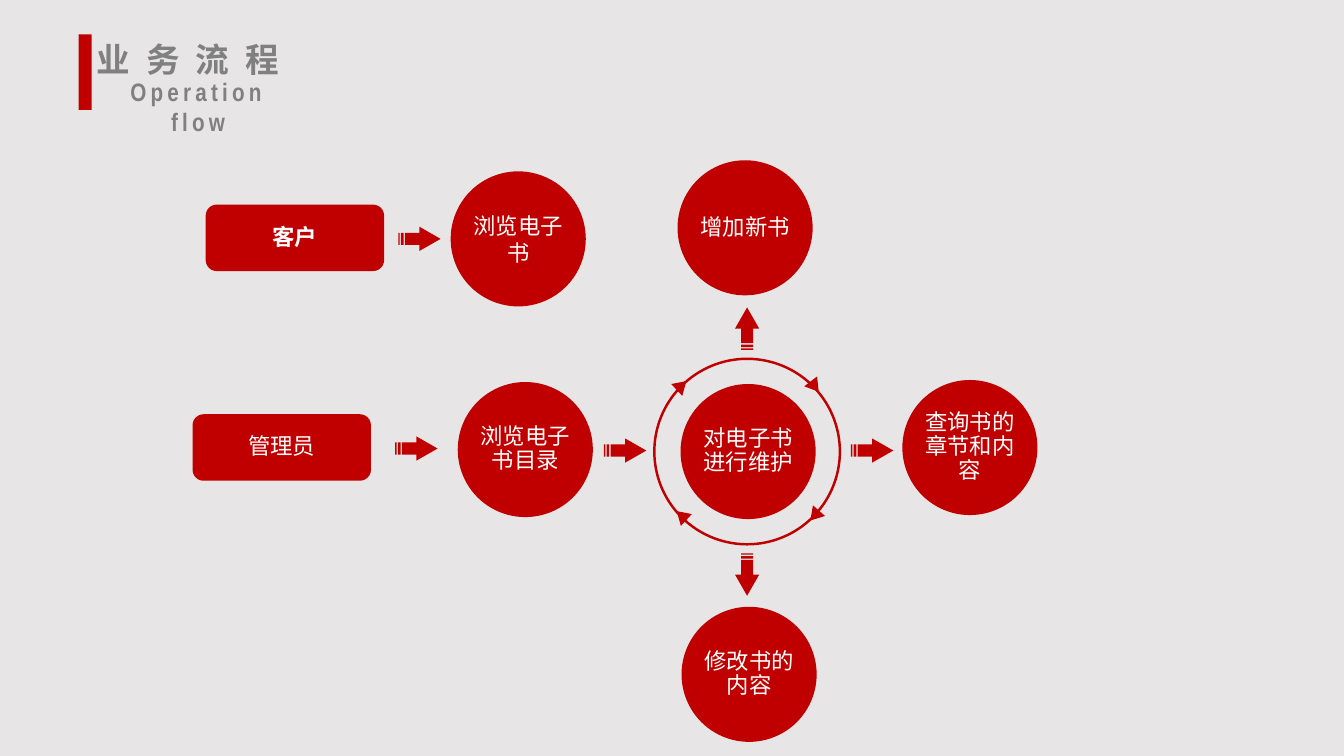
from pptx import Presentation
from pptx.dml.color import RGBColor
from pptx.enum.shapes import MSO_SHAPE as Preset
from pptx.enum.text import MSO_ANCHOR as Anchor, MSO_AUTO_SIZE as AutoSize, PP_ALIGN as Align
from pptx.oxml.ns import qn
from pptx.util import Inches, Pt
from lxml.etree import SubElement

RED, GREY, WHITE, BACKDROP = "C00000", "808080", "FFFFFF", "E7E5E6"
CJK, LATIN = "Noto Sans CJK SC", "Arial Narrow"
DISC = 1.34
STEP_WIDTH, STEP_HEIGHT = 1.77, 0.66
ARROW_LENGTH, ARROW_HEIGHT = 0.42, 0.24


def colour(hex_code):
    return RGBColor.from_string(hex_code)


def paint(shape, hex_code):
    shape.shadow.inherit = False
    shape.fill.solid()
    shape.fill.fore_color.rgb = colour(hex_code)
    shape.line.fill.background()


def write(shape, wording, size, face, hex_code, align, bold=False, tracking=0):
    frame = shape.text_frame
    frame.text = wording
    frame.word_wrap = True
    paragraph = frame.paragraphs[0]
    paragraph.alignment = align
    font = paragraph.runs[0].font
    font.size, font.name, font.bold = Pt(size), face, bold
    font.color.rgb = colour(hex_code)
    properties = paragraph.runs[0].font._element
    SubElement(properties, qn("a:ea")).set("typeface", face)
    if tracking:
        properties.set("spc", str(tracking * 100))
    return paragraph


def add_preset(slide, preset, left, top, width, height, rotation=0):
    shape = slide.shapes.add_shape(
        preset, Inches(left), Inches(top), Inches(width), Inches(height))
    shape.rotation = rotation
    paint(shape, RED)
    return shape


def add_label(shape, wording, inset, bold=False, spacing=0.9):
    frame = shape.text_frame
    frame.margin_left = frame.margin_right = Inches(inset)
    frame.margin_top = frame.margin_bottom = Inches(inset)
    frame.vertical_anchor = Anchor.MIDDLE
    paragraph = write(shape, wording, 16, CJK, WHITE, Align.CENTER, bold)
    paragraph.line_spacing = spacing


def add_disc(slide, wording, left, top, spacing=0.9):
    disc = add_preset(slide, Preset.OVAL, left, top, DISC, DISC)
    add_label(disc, wording, 0.02, spacing=spacing)


def add_role(slide, wording, left, top, bold=False):
    role = add_preset(slide, Preset.ROUNDED_RECTANGLE, left, top, STEP_WIDTH, STEP_HEIGHT)
    add_label(role, wording, 0.22, bold)


def add_striped_arrow(slide, left, top, rotation=0):
    def bar(start, end):
        return [(start, 0.25), (end, 0.25), (end, 0.75), (start, 0.75)]

    head = [(0.5, 0.25), (0.5, 0), (1, 0.5), (0.5, 1), (0.5, 0.75)]
    body = [(5 / 32, 0.25), *head, (5 / 32, 0.75)]
    outlines = [
        [(Inches(left + x * ARROW_LENGTH), Inches(top + y * ARROW_HEIGHT)) for x, y in part]
        for part in (bar(0, 1 / 32), bar(1 / 16, 1 / 8), body)]
    builder = slide.shapes.build_freeform(*outlines[0][0])
    builder.add_line_segments(outlines[0][1:])
    for outline in outlines[1:]:
        builder.move_to(*outline[0])
        builder.add_line_segments(outline[1:])
    arrow = builder.convert_to_shape()
    arrow.rotation = rotation
    paint(arrow, RED)


def add_cycle(slide):
    ring = add_preset(slide, Preset.OVAL, 6.49, 3.56, 1.84, 1.84)
    ring.fill.background()
    ring.line.color.rgb = colour(RED)
    ring.line.width = Pt(1.75)
    for left, top, rotation in (
            (6.68, 3.76, 47.2), (8, 3.77, 142.3), (8, 5.05, 221.4), (6.68, 5.05, 312.7)):
        add_preset(slide, Preset.ISOSCELES_TRIANGLE, left, top, 0.16, 0.13, rotation)


def add_heading(slide):
    add_preset(slide, Preset.RECTANGLE, 0.78, 0.34, 0.13, 0.75)
    title = slide.shapes.title
    title.left, title.top = Inches(0.86), Inches(0.34)
    title.width, title.height = Inches(2.89), Inches(0.5)
    subtitle = slide.shapes.add_textbox(
        Inches(0.91), Inches(0.71), Inches(2.11), Inches(0.4))
    write(title, "业 务 流 程", 24, CJK, GREY, Align.LEFT, True, 3)
    write(subtitle, "Operation flow", 18, LATIN, GREY, Align.CENTER, True, 3)
    for heading in (title, subtitle):
        heading.text_frame.vertical_anchor = Anchor.TOP
        heading.text_frame.auto_size = AutoSize.SHAPE_TO_FIT_TEXT


def main():
    deck = Presentation()
    deck.slide_width, deck.slide_height = Inches(13.33), Inches(7.5)
    slide = deck.slides.add_slide(deck.slide_layouts[5])
    slide.background.fill.solid()
    slide.background.fill.fore_color.rgb = colour(BACKDROP)
    add_heading(slide)

    add_role(slide, "客户", 2.04, 2.03, bold=True)
    add_striped_arrow(slide, 3.95, 2.25)
    add_disc(slide, "浏览电子书", 4.47, 1.7, spacing=1.0)

    add_role(slide, "管理员", 1.91, 4.11)
    add_striped_arrow(slide, 3.92, 4.33)
    add_disc(slide, "浏览电子书目录", 4.54, 3.79)
    add_striped_arrow(slide, 5.99, 4.35)
    add_disc(slide, "对电子书进行维护", 6.75, 3.81)
    add_cycle(slide)

    add_striped_arrow(slide, 7.2, 3.14, 270)
    add_disc(slide, "增加新书", 6.72, 1.59)
    add_striped_arrow(slide, 8.44, 4.35)
    add_disc(slide, "查询书的章节和内容", 8.95, 3.77)
    add_striped_arrow(slide, 7.2, 5.58, 90)
    add_disc(slide, "修改书的内容", 6.76, 6.02)
    deck.save("out.pptx")


if __name__ == "__main__":
    main()
